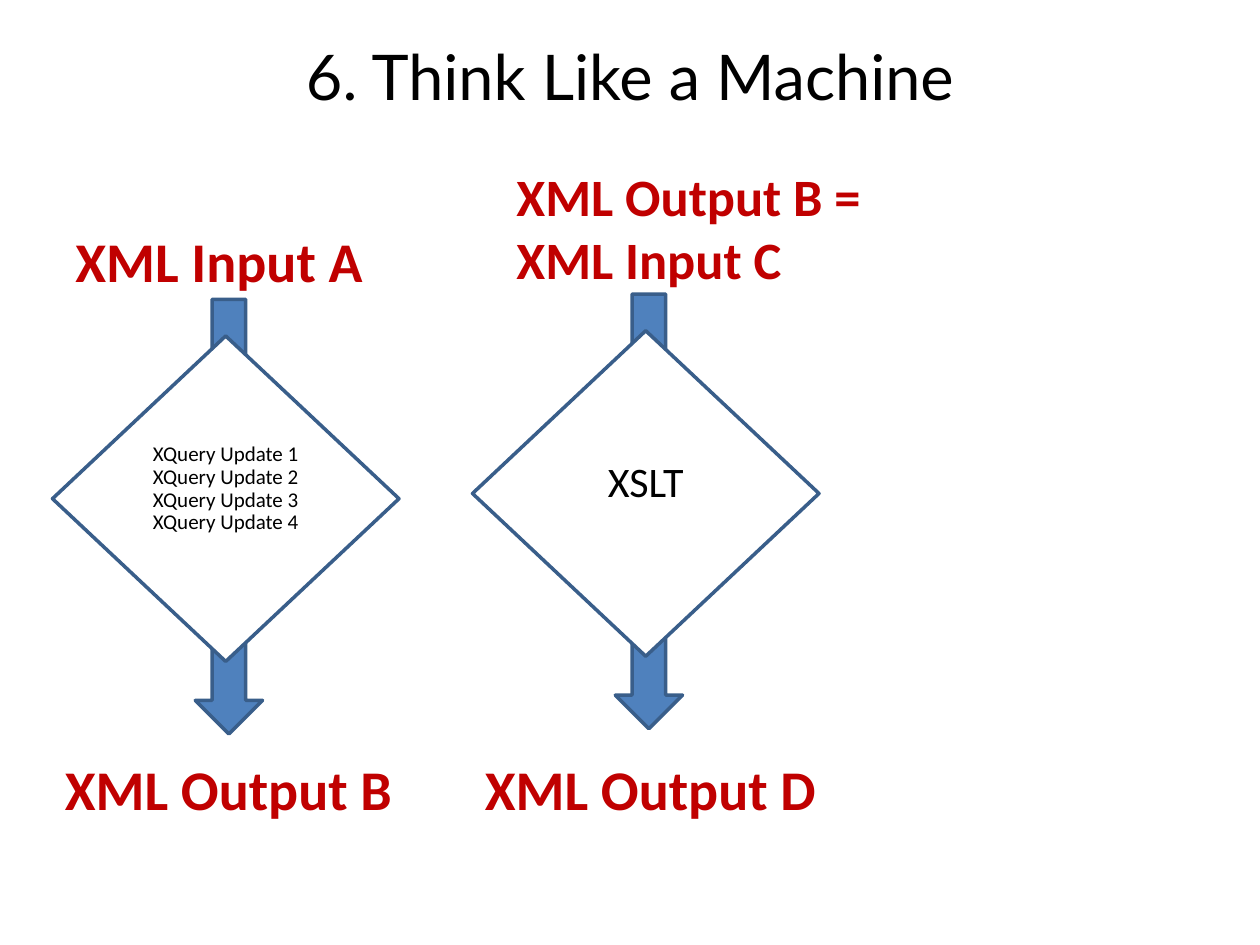
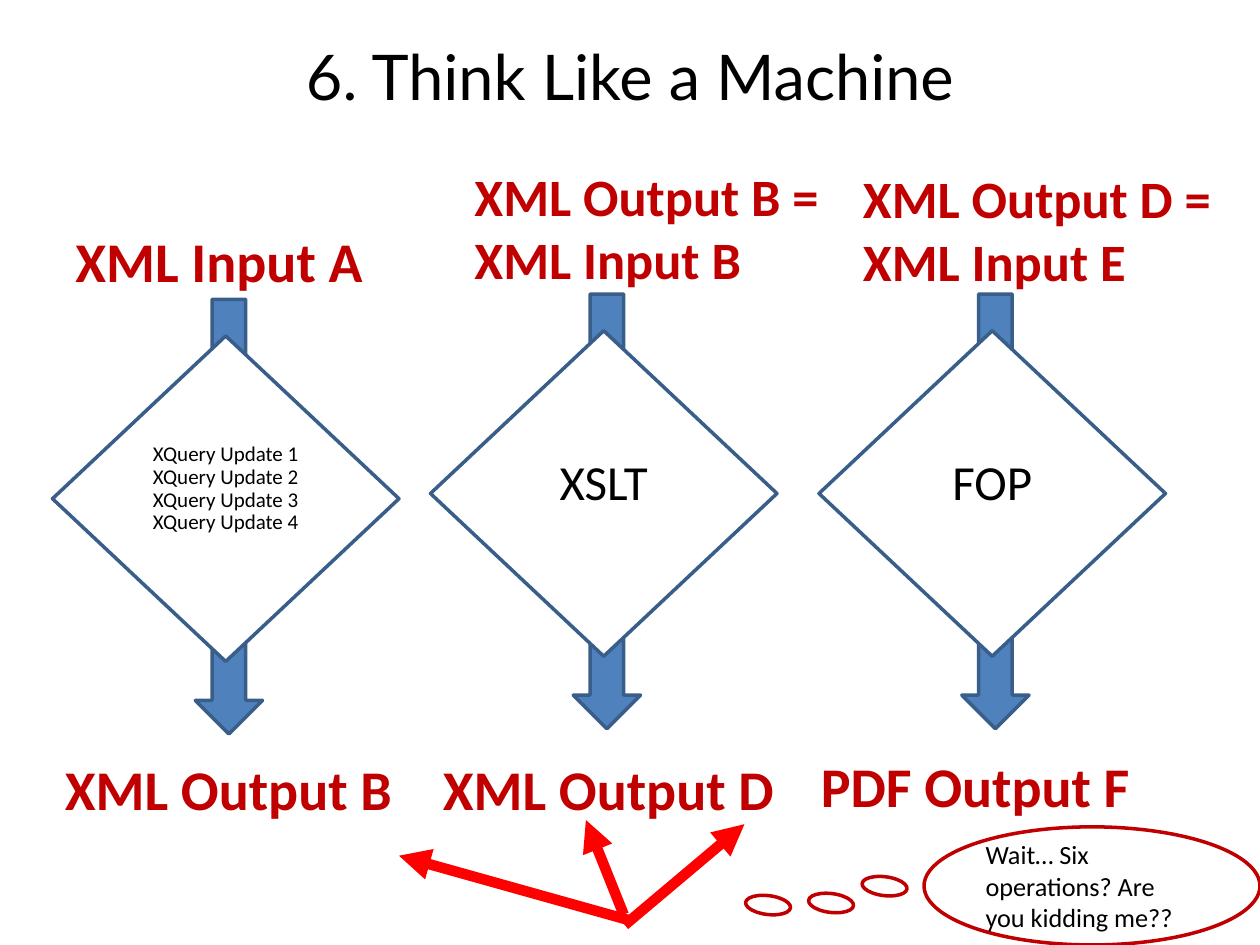
from dataclasses import dataclass

from lxml.etree import SubElement
from pptx import Presentation
from pptx.dml.color import RGBColor
from pptx.enum.shapes import MSO_CONNECTOR as Connector, MSO_SHAPE as Shape
from pptx.enum.text import MSO_ANCHOR as Anchor, PP_ALIGN as Align
from pptx.oxml.ns import qn
from pptx.util import Inches, Pt

BLACK = RGBColor(0x00, 0x00, 0x00)
WHITE = RGBColor(0xFF, 0xFF, 0xFF)
BLUE = RGBColor(0x4F, 0x81, 0xBD)
DARK_BLUE = RGBColor(0x39, 0x5E, 0x8A)
DARK_RED = RGBColor(0xC0, 0x00, 0x00)
RED = RGBColor(0xFF, 0x00, 0x00)

BODY_FONT = "Calibri"
TITLE_FONT = "Lato"
TITLE = "6. Think Like a Machine"

# The slide is a grid of 120 columns by 90 rows.
WIDTH, HEIGHT = Inches(10), Inches(7.5)
COLUMN, ROW = WIDTH / 120, HEIGHT / 90

DIAMOND_SIZE = (33, 31)
ARROW_SIZE = (6.4, 41.4)
ARROW_SHIFT = (13.6, -3.5)
LABEL_HEIGHT = 7.7


@dataclass
class Stage:
    """One step of the pipeline; left is the column of its diamond."""
    left: float
    source: str
    process: list
    result: str
    size: int
    top: float = 31.5
    source_area: tuple = (3, 15, 38, 13.3)
    source_size: int = 30
    result_shift: float = 0
    result_top: float = 71.3
    spacing: float = 1.0
    lift: float = 0.25


def grid(left, top, width, height):
    return (round(left * COLUMN), round(top * ROW),
            round(width * COLUMN), round(height * ROW))


def write(shape, lines, size=32, color=BLACK, font=BODY_FONT, bold=False,
          align=Align.LEFT, anchor=Anchor.TOP, spacing=1.0, above=0.05, below=0.05):
    """Fill a shape with one paragraph per line; above and below are insets in inches."""
    frame = shape.text_frame
    frame.word_wrap = True
    frame.vertical_anchor = anchor
    frame.margin_top, frame.margin_bottom = Inches(above), Inches(below)
    for index, line in enumerate(lines):
        para = frame.add_paragraph() if index else frame.paragraphs[0]
        para.alignment = align
        para.line_spacing = spacing
        span = para.add_run()
        span.text = line
        span.font.name = font
        span.font.size = Pt(size)
        span.font.bold = bold
        span.font.color.rgb = color


def add_text(page, area, text, **text_format):
    box = page.shapes.add_textbox(*grid(*area))
    write(box, [text], **text_format)


def add_label(page, area, text, size=32):
    add_text(page, area, text, size=size, color=DARK_RED, bold=True)


def add_figure(page, kind, area, line, fill=None):
    figure = page.shapes.add_shape(kind, *grid(*area))
    figure.shadow.inherit = False
    figure.line.color.rgb = line
    figure.line.width = Pt(2)
    if fill is None:
        figure.fill.background()
    else:
        figure.fill.solid()
        figure.fill.fore_color.rgb = fill
    return figure


def add_pointer(page, start, end):
    ends = grid(*start, *end)
    pointer = page.shapes.add_connector(Connector.STRAIGHT, *ends)
    pointer.line.color.rgb = RED
    pointer.line.width = Pt(6)
    line = pointer.line._get_or_add_ln()
    SubElement(line, qn("a:tailEnd"), type="triangle")
    SubElement(pointer._element.spPr, qn("a:effectLst"))


def add_stage(page, stage):
    shift, top, width, height = stage.source_area
    add_label(page, (stage.left + shift, top, width, height),
              stage.source, stage.source_size)
    add_label(page, (stage.left + stage.result_shift, stage.result_top, 36, LABEL_HEIGHT),
              stage.result)
    across, down = ARROW_SHIFT
    add_figure(page, Shape.DOWN_ARROW,
               (stage.left + across, stage.top + down, *ARROW_SIZE), DARK_BLUE, BLUE)
    diamond = add_figure(page, Shape.DIAMOND, (stage.left, stage.top, *DIAMOND_SIZE),
                         DARK_BLUE, WHITE)
    write(diamond, stage.process, size=stage.size, align=Align.CENTER,
          anchor=Anchor.MIDDLE, spacing=stage.spacing, below=stage.lift)


def add_thought(page):
    cloud = add_figure(page, Shape.OVAL, (88, 78.75, 32, 11.25), DARK_RED)
    write(cloud, ["Wait… Six operations? Are you kidding me??"], size=15,
          anchor=Anchor.MIDDLE)
    for left, top in ((77, 85.1), (82.1, 83.5), (71, 85.3)):
        bubble = add_figure(page, Shape.OVAL, (left, top, 4.3, 1.8), DARK_RED)
        bubble.rotation = 6.9


def add_page(deck, stages):
    page = deck.slides.add_slide(deck.slide_layouts[6])
    add_text(page, (6, 3.6, 108, 15), TITLE, size=36, font=TITLE_FONT,
             align=Align.CENTER, above=0)
    for stage in stages:
        add_stage(page, stage)
    return page


def main():
    deck = Presentation()
    deck.slide_width, deck.slide_height = WIDTH, HEIGHT

    updates = Stage(5, "XML Input A", [f"XQuery Update {n}" for n in range(1, 5)],
                    "XML Output B", size=12, top=32, source_size=32,
                    source_area=(1, 21, 32, LABEL_HEIGHT), spacing=0.9, lift=0.2)
    add_page(deck, [
        updates,
        Stage(45, "XML Output B = XML Input C", ["XSLT"], "XML Output D", size=24),
    ])

    page = add_page(deck, [
        updates,
        Stage(41, "XML Output B = XML Input B", ["XSLT"], "XML Output D", size=28),
        Stage(78, "XML Output D = XML Input E", ["FOP"], "PDF Output F", size=28,
              source_area=(3, 15.25, 38, 13.3), result_shift=-1, result_top=71),
    ])
    add_thought(page)
    for start, end in (((59.8, 87.6), (38, 81.5)),
                       ((59.4, 87.1), (55.8, 78.1)),
                       ((59.5, 88.1), (70.9, 78.5))):
        add_pointer(page, start, end)

    deck.save("out.pptx")


if __name__ == "__main__":
    main()
